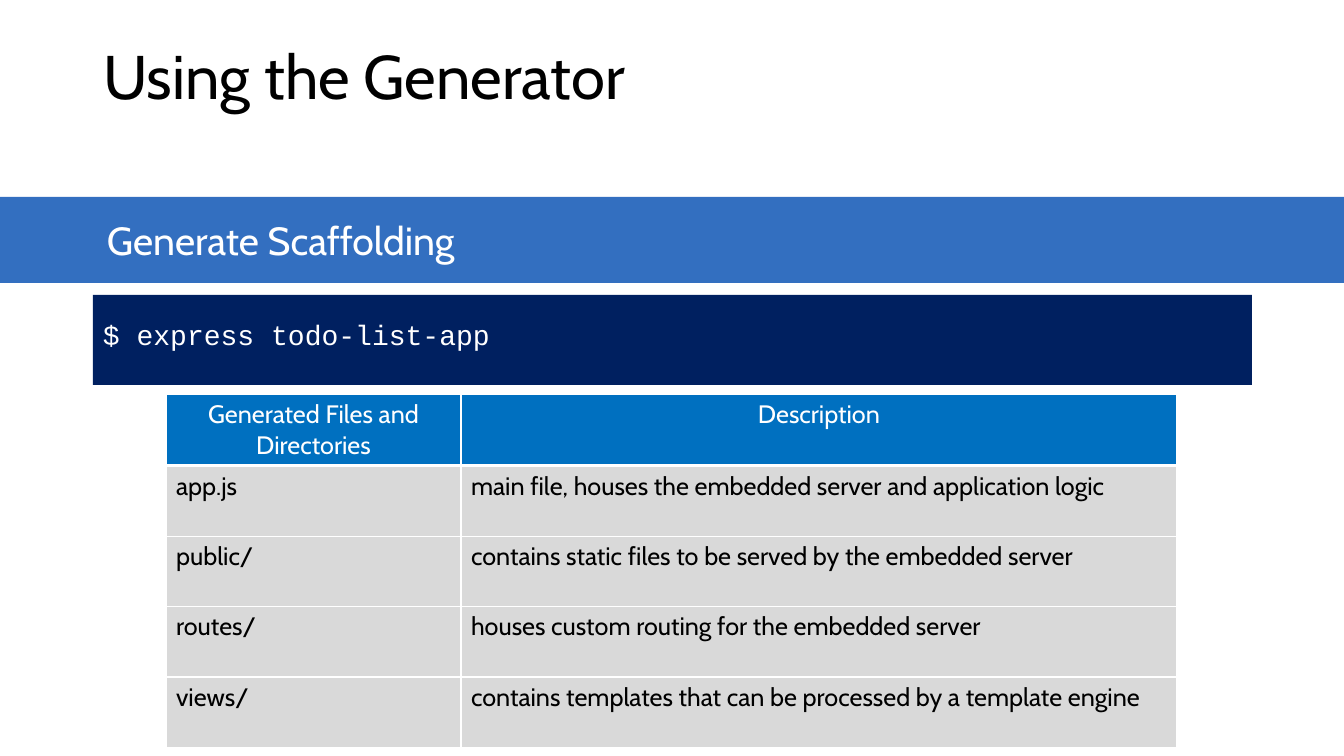
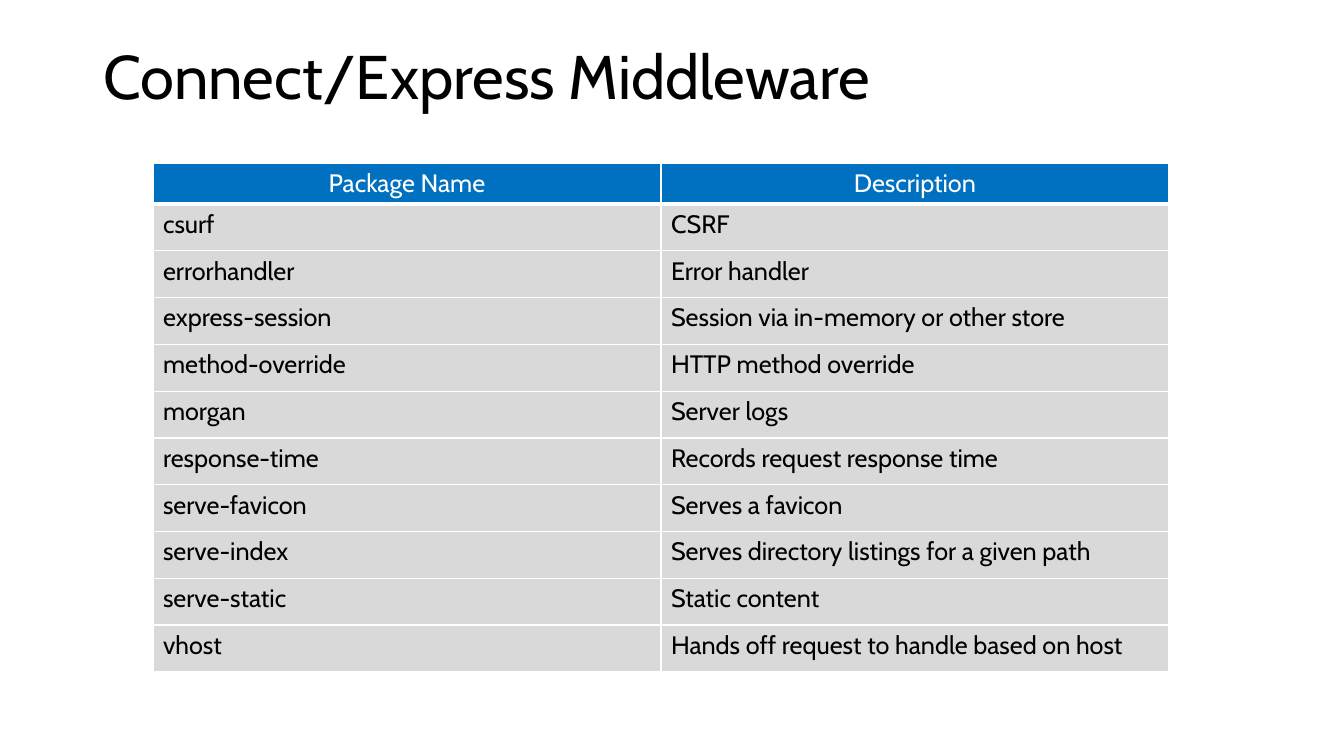
from lxml import etree
from pptx import Presentation
from pptx.dml.color import RGBColor
from pptx.enum.shapes import MSO_SHAPE
from pptx.enum.text import MSO_ANCHOR, MSO_AUTO_SIZE, PP_ALIGN
from pptx.oxml.ns import qn
from pptx.util import Emu, Pt

RECTANGLE = MSO_SHAPE.RECTANGLE
MIDDLE = MSO_ANCHOR.MIDDLE
NO_AUTOFIT = MSO_AUTO_SIZE.NONE
LEFT, CENTER = PP_ALIGN.LEFT, PP_ALIGN.CENTER

WHITE = RGBColor(0xFF, 0xFF, 0xFF)
BLACK = RGBColor(0x00, 0x00, 0x00)
NAVY = RGBColor(0x00, 0x20, 0x60)
BAND_BLUE = RGBColor(0x33, 0x6F, 0xC0)
HEADER_BLUE = RGBColor(0x00, 0x70, 0xC0)
ROW_GRAY = RGBColor(0xD9, 0xD9, 0xD9)

TEXT_FONT = "Cabin"
CODE_FONT = "Courier New"
TITLE_ONLY_LAYOUT = 5
EMU_PER_PX = 914400 / 100.8
SLIDE_SIZE = (1344, 756)
TITLE_BOX = (93, 40, 1159, 80)
BAND_BOX = (0, 197, 1344, 86)
CODE_BOX = (93, 295, 1159, 90)
BAND_INDENT = 107
CODE_INDENT = 10
THIN, THICK = Pt(1), Pt(3)

GENERATOR = {
    "title": "Using the Generator",
    "band": "Generate Scaffolding",
    "code": "$ express todo-list-app",
    "table": {
        "origin": (166, 394),
        "columns": (295, 716),
        "header_height": 71,
        "body_height": 282,
        "rows": [
            ("Generated Files and Directories", "Description"),
            ("app.js", "main file, houses the embedded server and application logic"),
            ("public/", "contains static files to be served by the embedded server"),
            ("routes/", "houses custom routing for the embedded server"),
            ("views/", "contains templates that can be processed by a template engine"),
        ],
    },
}

MIDDLEWARE = {
    "title": "Connect/Express Middleware",
    "table": {
        "origin": (153, 163),
        "columns": (508, 508),
        "header_height": 41,
        "body_height": 468,
        "rows": [
            ("Package Name", "Description"),
            ("csurf", "CSRF"),
            ("errorhandler", "Error handler"),
            ("express-session", "Session via in-memory or other store"),
            ("method-override", "HTTP method override"),
            ("morgan", "Server logs"),
            ("response-time", "Records request response time"),
            ("serve-favicon", "Serves a favicon"),
            ("serve-index", "Serves directory listings for a given path"),
            ("serve-static", "Static content"),
            ("vhost", "Hands off request to handle based on host"),
        ],
    },
}


def px(length):
    return Emu(round(length * EMU_PER_PX))


def write(text_frame, text, size, color, font=TEXT_FONT, align=LEFT, spacing=None):
    paragraph = text_frame.paragraphs[0]
    paragraph.alignment = align
    if spacing:
        paragraph.line_spacing = spacing
    run = paragraph.add_run()
    run.text = text
    run.font.name = font
    run.font.size = Pt(size)
    run.font.bold = False
    run.font.color.rgb = color


def add_title(slide, text):
    title = slide.shapes.title
    title.left, title.top, title.width, title.height = map(px, TITLE_BOX)
    frame = title.text_frame
    frame.auto_size = NO_AUTOFIT
    frame.word_wrap = True
    frame.vertical_anchor = MIDDLE
    write(frame, text, 44, BLACK, spacing=0.9)


def add_panel(slide, box, fill, indent, text, size, **text_style):
    panel = slide.shapes.add_shape(RECTANGLE, *map(px, box))
    panel.shadow.inherit = False
    panel.fill.solid()
    panel.fill.fore_color.rgb = fill
    panel.line.fill.background()
    frame = panel.text_frame
    frame.word_wrap = True
    frame.vertical_anchor = MIDDLE
    frame.margin_left = px(indent)
    write(frame, text, size, WHITE, **text_style)


def set_borders(cell, top, bottom):
    properties = cell._tc.get_or_add_tcPr()
    widths = (("lnL", THIN), ("lnR", THIN), ("lnT", top), ("lnB", bottom))
    for position, (side, width) in enumerate(widths):
        line = etree.Element(qn(f"a:{side}"), w=str(width))
        fill = etree.SubElement(line, qn("a:solidFill"))
        etree.SubElement(fill, qn("a:srgbClr"), val=str(WHITE))
        properties.insert(position, line)


def add_table(slide, content):
    rows, columns = content["rows"], content["columns"]
    header_height, body_height = content["header_height"], content["body_height"]
    left, top = content["origin"]
    frame = slide.shapes.add_table(
        len(rows), len(columns), px(left), px(top),
        px(sum(columns)), px(header_height + body_height))
    table = frame.table
    for column, width in zip(table.columns, columns):
        column.width = px(width)
    row_height = body_height / (len(rows) - 1)
    for row_index, texts in enumerate(rows):
        is_header = row_index == 0
        table.rows[row_index].height = px(header_height if is_header else row_height)
        for column_index, text in enumerate(texts):
            cell = table.cell(row_index, column_index)
            cell.fill.solid()
            cell.fill.fore_color.rgb = HEADER_BLUE if is_header else ROW_GRAY
            set_borders(cell, THICK if row_index == 1 else THIN, THICK if is_header else THIN)
            write(cell.text_frame, text, 18, WHITE if is_header else BLACK,
                  align=CENTER if is_header else LEFT)


def add_slide(presentation, content):
    slide = presentation.slides.add_slide(presentation.slide_layouts[TITLE_ONLY_LAYOUT])
    add_title(slide, content["title"])
    if "code" in content:
        add_panel(slide, CODE_BOX, NAVY, CODE_INDENT, content["code"], 20,
                  font=CODE_FONT, spacing=0.5)
    if "band" in content:
        add_panel(slide, BAND_BOX, BAND_BLUE, BAND_INDENT, content["band"], 28)
    add_table(slide, content["table"])


def main():
    presentation = Presentation()
    presentation.slide_width, presentation.slide_height = map(px, SLIDE_SIZE)
    for content in (GENERATOR, MIDDLEWARE):
        add_slide(presentation, content)
    presentation.save("out.pptx")


if __name__ == "__main__":
    main()
